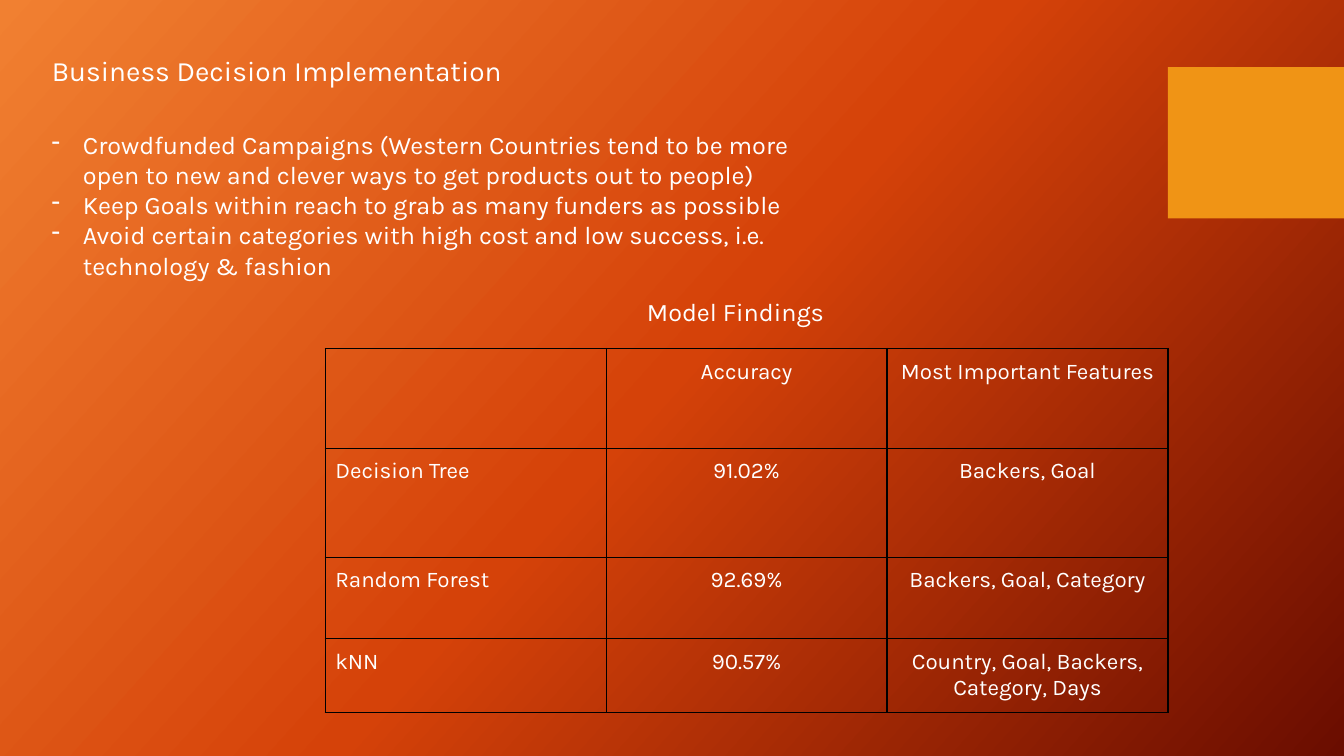
from copy import deepcopy

from lxml import etree
from pptx import Presentation
from pptx import util as u
from pptx.dml.color import RGBColor
from pptx.enum import shapes, text
from pptx.oxml import ns

WIDTH, HEIGHT = u.Inches(13.33), u.Inches(7.5)
FONT = "Karla"
COLORS = {
    "light": "F18031",
    "middle": "D54209",
    "dark": "6A0D00",
    "accent": "F09415",
    "text": "FFFFFF",
    "border": "000000",
}
ADVICE = [
    "Crowdfunded Campaigns (Western Countries tend to be more open to new "
    "and clever ways to get products out to people)",
    "Keep Goals within reach to grab as many funders as possible",
    "Avoid certain categories with high cost and low success, i.e. technology & fashion",
]
FINDINGS = [
    ["", "Accuracy", "Most Important Features"],
    ["Decision Tree", "91.02%", "Backers, Goal"],
    ["Random Forest", "92.69%", "Backers, Goal, Category"],
    ["kNN", "90.57%", "Country, Goal, Backers, Category, Days"],
]
ROW_HEIGHTS = [0.99, 1.08, 0.81, 0.54]


def color(name):
    return RGBColor.from_string(COLORS[name])


def box(left, top, width, height):
    """Turn shares of the slide's size into a position and size."""
    return (int(WIDTH * left), int(HEIGHT * top),
            int(WIDTH * width), int(HEIGHT * height))


def style(paragraph, size, align=text.PP_ALIGN.LEFT):
    paragraph.alignment = align
    paragraph.font.name = FONT
    paragraph.font.size = u.Pt(size)
    paragraph.font.color.rgb = color("text")


def add_background(slide):
    fill = slide.background.fill
    fill.gradient()
    fill.gradient_angle = 360 - 42
    first = fill.gradient_stops[0]
    stop_list = slide.background._cSld.find(".//" + ns.qn("a:gsLst"))
    stop_list.insert(1, deepcopy(stop_list[0]))
    for stop, name, position in zip(fill.gradient_stops,
                                    ("light", "middle", "dark"), (0, 0.5, 1)):
        stop.color.rgb = color(name)
        stop.position = position


def add_accent(slide, place):
    accent = slide.shapes.add_shape(shapes.MSO_SHAPE.RECTANGLE, *place)
    accent.shadow.inherit = False
    accent.fill.solid()
    accent.fill.fore_color.rgb = color("accent")
    accent.line.fill.background()


def set_title(slide, wording, place):
    title = slide.shapes.title
    title.left, title.top, title.width, title.height = place
    title.text_frame.text = wording
    title.text_frame.vertical_anchor = text.MSO_ANCHOR.TOP
    style(title.text_frame.paragraphs[0], 20)


def add_dash(paragraph):
    properties = paragraph._p.get_or_add_pPr()
    properties.set("marL", str(u.Inches(0.31)))
    properties.set("indent", str(-u.Inches(0.31)))
    etree.SubElement(properties, ns.qn("a:buChar"), char="-")


def add_text(slide, lines, place, dashed=False):
    frame = slide.shapes.add_textbox(*place).text_frame
    frame.word_wrap = True
    frame.text = "\n".join(lines)
    for paragraph in frame.paragraphs:
        if dashed:
            add_dash(paragraph)
        style(paragraph, 18)


def add_borders(cell):
    properties = cell._tc.get_or_add_tcPr()
    for side in ("a:lnL", "a:lnR", "a:lnT", "a:lnB"):
        line = etree.SubElement(properties, ns.qn(side), w=str(u.Pt(1)))
        fill = etree.SubElement(line, ns.qn("a:solidFill"))
        etree.SubElement(fill, ns.qn("a:srgbClr"), val=COLORS["border"])


def add_findings(slide, place):
    table = slide.shapes.add_table(len(FINDINGS), len(FINDINGS[0]), *place).table
    table.first_row = table.horz_banding = False
    for row, height in zip(table.rows, ROW_HEIGHTS):
        row.height = u.Inches(height)
    for r, values in enumerate(FINDINGS):
        for c, value in enumerate(values):
            cell = table.cell(r, c)
            cell.margin_left = cell.margin_right = u.Inches(0.1)
            cell.margin_top = cell.margin_bottom = u.Inches(0.1)
            add_borders(cell)
            cell.fill.background()
            cell.text = value
            style(cell.text_frame.paragraphs[0], 16,
                  text.PP_ALIGN.CENTER if c else text.PP_ALIGN.LEFT)


def main():
    deck = Presentation()
    deck.slide_width, deck.slide_height = WIDTH, HEIGHT
    slide = deck.slides.add_slide(deck.slide_layouts[5])
    add_background(slide)
    add_accent(slide, box(0.869, 0.089, 0.131, 0.2))
    set_title(slide, "Business Decision Implementation", box(0.031, 0.064, 0.539, 0.099))
    add_text(slide, ADVICE, box(0.031, 0.164, 0.593, 0.296), dashed=True)
    add_text(slide, ["Model Findings"], box(0.474, 0.385, 0.212, 0.095))
    add_findings(slide, box(0.242, 0.461, 0.627, 0.456))
    deck.save("out.pptx")


if __name__ == "__main__":
    main()
